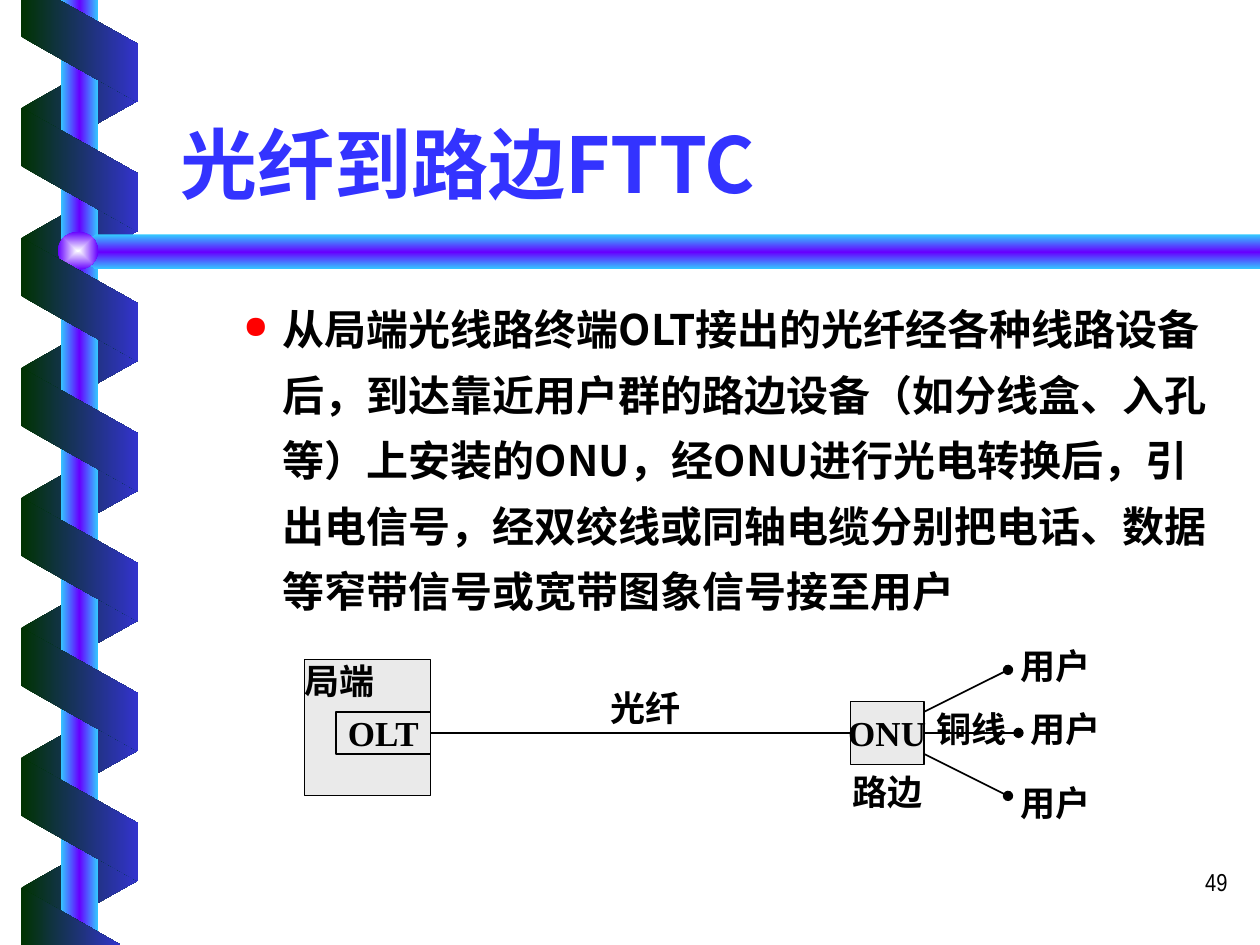
from dataclasses import dataclass

from pptx import Presentation
from pptx.dml.color import RGBColor
from pptx.enum.shapes import MSO_CONNECTOR as Connector, MSO_SHAPE as Shape
from pptx.enum.text import MSO_ANCHOR as Anchor, MSO_AUTO_SIZE as AutoSize, PP_ALIGN as Align
from pptx.oxml import parse_xml
from pptx.oxml.ns import nsdecls
from pptx.util import Pt


@dataclass(frozen=True)
class Theme:
    title: str = "3333FF"
    text: str = "000000"
    bullet: str = "FF0000"
    node: str = "EAEAEA"
    ribbon: tuple = ("003300", "3333CC")
    pole: tuple = ("33CCFF", "6600FF", "33CCFF")
    ball: tuple = ("FEFFFF", "6600FF")
    cjk: str = "Noto Sans CJK SC"
    serif: str = "Times New Roman"
    narrow: str = "Arial Narrow"
    title_size: int = 44
    body_size: int = 24
    label_size: int = 20
    number_size: int = 14


THEME = Theme()
WIDTH, HEIGHT = 720, 540
LEFT, RIGHT = 12, 78.6
RISE, BAND, PITCH = 37.4, 33.2, 74.25
BACK_TOP, FRONT_TOP = 24.5, 61.6

BODY = (
    "从局端光线路终端OLT接出的光纤经各种线路设备后，到达靠近用户群的路边设备"
    "（如分线盒、入孔等）上安装的ONU，经ONU进行光电转换后，引出电信号，"
    "经双绞线或同轴电缆分别把电话、数据等窄带信号或宽带图象信号接至用户"
)


def place(shape, left, top, width, height):
    shape.left, shape.top, shape.width, shape.height = map(Pt, (left, top, width, height))


def style_gradient(shape, colours, direction='<a:lin ang="0" scaled="0"/>'):
    shape.shadow.inherit = False
    shape.line.fill.background()
    shape.fill.solid()
    last = len(colours) - 1
    stops = "".join(
        f'<a:gs pos="{100000 * index // last}"><a:srgbClr val="{colour}"/></a:gs>'
        for index, colour in enumerate(colours)
    )
    gradient = parse_xml(
        f'<a:gradFill {nsdecls("a")} rotWithShape="1"><a:gsLst>{stops}</a:gsLst>{direction}</a:gradFill>'
    )
    properties = shape.element.spPr
    properties.replace(properties.find("{*}solidFill"), gradient)


def add_polygon(page, points, colours, **options):
    corners = [(Pt(x), Pt(y)) for x, y in points]
    builder = page.shapes.build_freeform(*corners[0], scale=1.0)
    builder.add_line_segments(corners[1:], close=True)
    style_gradient(builder.convert_to_shape(), colours, **options)


def add_ribbon(page, left_top, right_top):
    points = [(LEFT, left_top), (RIGHT, right_top), (RIGHT, right_top + BAND), (LEFT, left_top + BAND)]
    add_polygon(page, points, THEME.ribbon)


def add_spiral_binding(page):
    for index in range(7):
        top = BACK_TOP + index * PITCH
        add_ribbon(page, top + RISE, top)

    pole = page.shapes.add_shape(Shape.RECTANGLE, Pt(34.6), 0, Pt(21.6), Pt(HEIGHT))
    style_gradient(pole, THEME.pole)
    bar = [(WIDTH, 134), (54.7, 134), (43.2, 144), (54.7, 154), (WIDTH, 154)]
    add_polygon(page, bar, THEME.pole, direction='<a:lin ang="5400000" scaled="0"/>')
    ball = page.shapes.add_shape(Shape.OVAL, Pt(33.1), Pt(132.5), Pt(23), Pt(21.6))
    centre = '<a:path path="rect"><a:fillToRect l="50000" t="50000" r="50000" b="50000"/></a:path>'
    style_gradient(ball, THEME.ball, direction=centre)

    for index in range(6):
        top = FRONT_TOP + index * PITCH
        add_ribbon(page, top, top + RISE)
    upper_end = [(LEFT, 0), (LEFT, 20.9), (RIGHT, 58.3), (RIGHT, 25), (33.8, 0)]
    lower_end = [(LEFT, 507.4), (69, HEIGHT), (LEFT, HEIGHT)]
    for points in (upper_end, lower_end):
        add_polygon(page, points, THEME.ribbon)


def write_text(shape, text, size, font, colour=THEME.text, bold=True, align=Align.LEFT,
               anchor=Anchor.TOP, wrap=True):
    frame = shape.text_frame
    frame.text = text
    frame.word_wrap = wrap
    frame.auto_size = AutoSize.NONE
    frame.vertical_anchor = anchor
    para = frame.paragraphs[0]
    para.alignment = align
    for span in para.runs:
        span.font.size = Pt(size)
        span.font.bold = bold
        span.font.name = font
        span.font.color.rgb = RGBColor.from_string(colour)
        span.font.fill.solid()
        span.font.color.rgb = RGBColor.from_string(colour)
        latin = span.font._element.find("{*}latin")
        latin.addnext(parse_xml(f'<a:ea {nsdecls("a")} typeface="{THEME.cjk}"/>'))
    return para


def add_text(page, text, left, top, width, height, size, font, **options):
    box = page.shapes.add_textbox(Pt(left), Pt(top), Pt(width), Pt(height))
    return write_text(box, text, size, font, **options)


def add_title(page, text):
    title = page.shapes.title
    place(title, 96, 33, 612, 90)
    write_text(title, text, THEME.title_size, THEME.cjk, THEME.title, anchor=Anchor.BOTTOM)


def add_body(page, text):
    para = add_text(page, text, 96, 161.5, 612, 204, THEME.body_size, THEME.cjk)
    para.line_spacing = 1.3
    properties = para._p.get_or_add_pPr()
    properties.set("marL", str(Pt(58.5)))
    properties.set("indent", str(Pt(-22.5)))
    for tag in (
        f'<a:buClr {nsdecls("a")}><a:srgbClr val="{THEME.bullet}"/></a:buClr>',
        f'<a:buSzPct {nsdecls("a")} val="75000"/>',
        f'<a:buChar {nsdecls("a")} char="●"/>',
    ):
        properties.append(parse_xml(tag))


def add_node(page, text, left, top, width, height, inset=0, **options):
    node = page.shapes.add_shape(Shape.RECTANGLE, Pt(left), Pt(top), Pt(width), Pt(height))
    node.shadow.inherit = False
    node.fill.solid()
    node.fill.fore_color.rgb = RGBColor.from_string(THEME.node)
    node.line.color.rgb = RGBColor.from_string(THEME.text)
    node.line.width = Pt(0.75)
    frame = node.text_frame
    frame.margin_left = frame.margin_right = Pt(inset)
    frame.margin_top = frame.margin_bottom = Pt(0)
    write_text(node, text, THEME.label_size, THEME.serif, wrap=False, **options)


def add_line(page, start, end, width, dot=False):
    line = page.shapes.add_connector(Connector.STRAIGHT, *map(Pt, (*start, *end)))
    line.line.color.rgb = RGBColor.from_string(THEME.text)
    line.line.width = Pt(width)
    properties = line._element.spPr
    if dot:
        properties.find("{*}ln").append(parse_xml(f'<a:tailEnd {nsdecls("a")} type="oval"/>'))
    properties.append(parse_xml(f'<a:effectLst {nsdecls("a")}/>'))


def add_label(page, text, left, top, width=66, align=Align.CENTER):
    add_text(page, text, left, top, width, 31.5, THEME.label_size, THEME.serif, align=align)


def add_network(page):
    centred = {"align": Align.CENTER, "anchor": Anchor.MIDDLE}
    add_node(page, "局端", 174, 376.8, 72, 78)
    add_node(page, "OLT", 192, 406.8, 54, 24, **centred)
    add_line(page, (246, 418.8), (486, 418.8), 1.5)
    add_node(page, "ONU", 486, 400.8, 42, 36, inset=7.2, **centred)
    add_label(page, "光纤", 342, 388.8, width=60, align=Align.LEFT)
    add_label(page, "路边", 474, 436.8)

    branches = [
        (406.8, (576, 382.8), (570, 364.8)),
        (418.8, (582, 418.8), (576, 400.8)),
        (430.8, (576, 454.8), (570, 442.8)),
    ]
    for start_top, end, label in branches:
        add_line(page, (528, start_top), end, 1, dot=True)
        add_label(page, "用户", *label)
    add_label(page, "铜线", 522, 400.8)


def main():
    deck = Presentation()
    deck.slide_width, deck.slide_height = Pt(WIDTH), Pt(HEIGHT)
    page = deck.slides.add_slide(deck.slide_layouts[5])
    add_spiral_binding(page)
    add_text(page, "49", 558.7, 491.8, 149.8, 36, THEME.number_size, THEME.narrow,
             bold=False, align=Align.RIGHT)
    add_title(page, "光纤到路边FTTC")
    add_body(page, BODY)
    add_network(page)
    deck.save("out.pptx")


if __name__ == "__main__":
    main()
